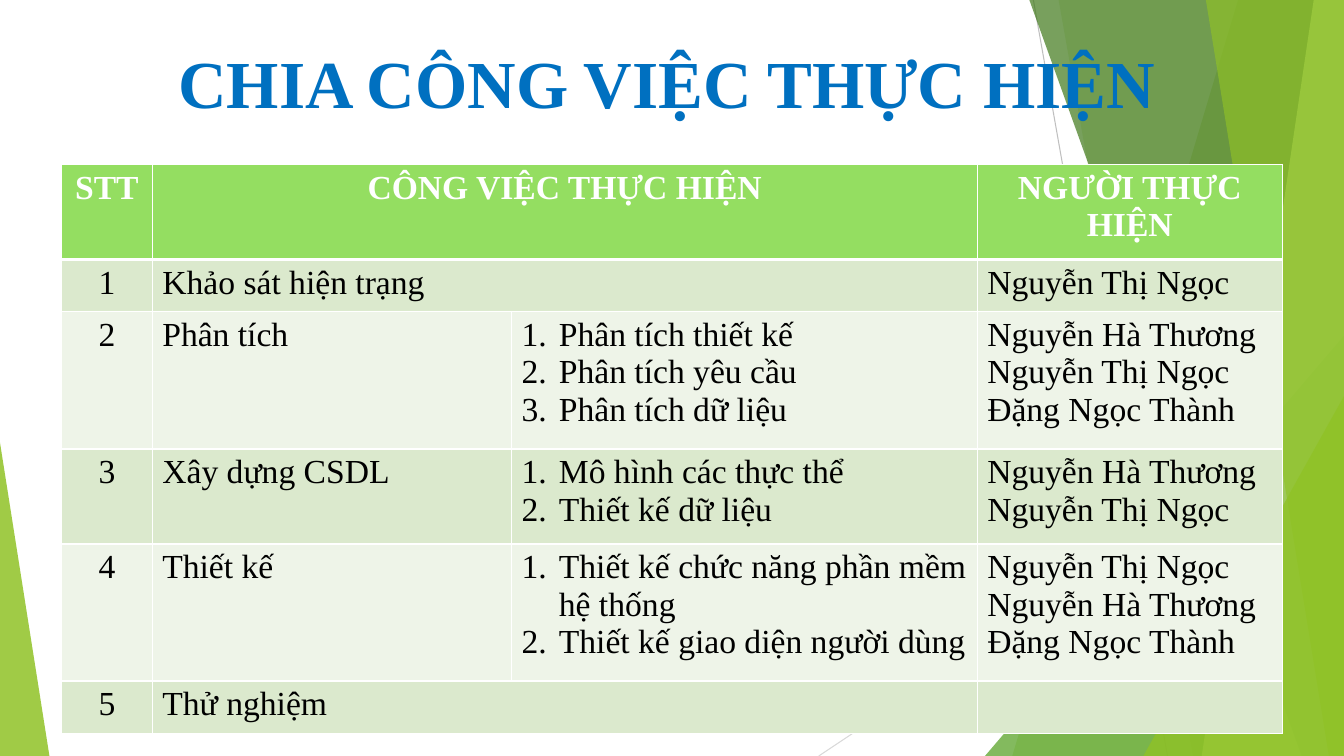
from pptx import Presentation
from pptx.dml.color import RGBColor
from pptx.enum.shapes import MSO_CONNECTOR as Connector, MSO_SHAPE as Shape
from pptx.enum.text import MSO_AUTO_SIZE as AutoSize, PP_ALIGN as Align
from pptx.oxml.ns import qn
from pptx.util import Inches, Pt
from lxml.etree import SubElement

WIDTH, HEIGHT = Inches(13.33), Inches(7.5)
FONT = "Times New Roman"
WHITE, BLACK, BLUE = "FFFFFF", "000000", "0070C0"
GREEN, LEAF, FOREST, LIME = "90C226", "54A021", "3F7819", "C0E474"
HEADER_FILL, ROW_FILLS = "94DE61", ("EEF4E8", "DBE9CD")

NGOC, THUONG, THANH = "Nguyễn Thị Ngọc", "Nguyễn Hà Thương", "Đặng Ngọc Thành"
HEADER = ("STT", "CÔNG VIỆC THỰC HIỆN", "NGƯỜI THỰC HIỆN")
TASKS = (
    ("Khảo sát hiện trạng", (), (NGOC,)),
    ("Phân tích",
     ("Phân tích thiết kế", "Phân tích yêu cầu", "Phân tích dữ liệu"),
     (THUONG, NGOC, THANH)),
    ("Xây dựng CSDL",
     ("Mô hình các thực thể", "Thiết kế dữ liệu"),
     (THUONG, NGOC)),
    ("Thiết kế",
     ("Thiết kế chức năng phần mềm hệ thống", "Thiết kế giao diện người dùng"),
     (NGOC, THUONG, THANH)),
    ("Thử nghiệm", (), ()),
)
COLUMN_WIDTHS = (6.75, 26.73, 34.65, 22.71)
ROW_HEIGHTS = (12.58, 6.95, 18.13, 12.58, 18.13, 6.95)


def across(percent):
    return round(WIDTH * percent / 100)


def down(percent):
    return round(HEIGHT * percent / 100)


def color(code):
    return RGBColor.from_string(code)


def paint(shape, code, opacity):
    shape.shadow.inherit = False
    shape.line.fill.background()
    shape.fill.solid()
    shape.fill.fore_color.rgb = color(code)
    tint = shape.element.spPr.find(qn("a:solidFill"))[0]
    SubElement(tint, qn("a:alpha"), val=str(opacity * 1000))


def add_line(page, start, end, code):
    line = page.shapes.add_connector(
        Connector.STRAIGHT, across(start[0]), down(start[1]), across(end[0]), down(end[1]))
    line.line.color.rgb = color(code)
    line.line.width = Pt(0.75)
    SubElement(line.element.spPr, qn("a:effectLst"))


def add_band(page, top_x, bottom_x, code, opacity):
    outline = page.shapes.build_freeform(across(top_x), 0)
    corners = ((100, 0), (100, 100), (bottom_x, 100))
    outline.add_line_segments([(across(x), down(y)) for x, y in corners], close=True)
    paint(outline.convert_to_shape(), code, opacity)


def add_corner(page, left, right, top, apex, code, opacity):
    corner = page.shapes.add_shape(
        Shape.ISOSCELES_TRIANGLE, across(left), down(top),
        across(right - left), down(100 - top))
    corner.adjustments[0] = apex
    paint(corner, code, opacity)


def write(para, text, size=24, code=BLACK, bold=False, align=Align.LEFT, numbered=False):
    para.alignment = align
    span = para.add_run()
    span.text = text
    span.font.name = FONT
    span.font.size = Pt(size)
    span.font.bold = bold
    span.font.color.rgb = color(code)
    if numbered:
        settings = para._p.get_or_add_pPr()
        indent = Inches(0.37)
        settings.set("marL", str(indent))
        settings.set("indent", str(-indent))
        SubElement(settings, qn("a:buFont"), typeface="+mj-lt")
        SubElement(settings, qn("a:buAutoNum"), type="arabicPeriod")


def add_title(page, text):
    box = page.shapes.add_textbox(across(12.53), down(4.8), across(74.94), down(12.13))
    box.text_frame.word_wrap = False
    box.text_frame.auto_size = AutoSize.SHAPE_TO_FIT_TEXT
    write(box.text_frame.paragraphs[0], text, size=48, code=BLUE, bold=True)


def style_cell(cell, fill, top=1, bottom=1):
    settings = cell._tc.get_or_add_tcPr()
    for side, width in (("L", 1), ("R", 1), ("T", top), ("B", bottom)):
        border = SubElement(settings, qn(f"a:ln{side}"), w=str(Pt(width)))
        SubElement(SubElement(border, qn("a:solidFill")), qn("a:srgbClr"), val=WHITE)
    cell.fill.solid()
    cell.fill.fore_color.rgb = color(fill)


def fill_cell(cell, lines, **style):
    frame = cell.text_frame
    for index, line in enumerate(lines):
        para = frame.add_paragraph() if index else frame.paragraphs[0]
        write(para, line, **style)


def add_task_table(page):
    table = page.shapes.add_table(
        len(ROW_HEIGHTS), len(COLUMN_WIDTHS), across(4.58), down(21.73),
        across(sum(COLUMN_WIDTHS)), down(sum(ROW_HEIGHTS))).table
    for column, width in zip(table.columns, COLUMN_WIDTHS):
        column.width = across(width)
    for number, (row, height) in enumerate(zip(table.rows, ROW_HEIGHTS)):
        row.height = down(height)
        fill = ROW_FILLS[number % 2] if number else HEADER_FILL
        for cell in row.cells:
            style_cell(cell, fill, top=3 if number == 1 else 1, bottom=1 if number else 3)

    table.cell(0, 1).merge(table.cell(0, 2))
    for column, text in zip((0, 1, 3), HEADER):
        fill_cell(table.cell(0, column), [text], code=WHITE, bold=True, align=Align.CENTER)
    for number, (task, steps, people) in enumerate(TASKS, start=1):
        fill_cell(table.cell(number, 0), [str(number)], align=Align.CENTER)
        fill_cell(table.cell(number, 1), [task])
        fill_cell(table.cell(number, 3), people)
        if steps:
            fill_cell(table.cell(number, 2), steps, numbered=True)
        else:
            table.cell(number, 1).merge(table.cell(number, 2))


def add_backdrop(page):
    add_line(page, (76.89, 0), (86.87, 100), "BFBFBF")
    add_line(page, (100, 53.73), (60.92, 100), "D9D9D9")
    add_band(page, 92.12, 75.32, GREEN, 30)
    add_band(page, 78.77, 88.75, GREEN, 20)
    add_corner(page, 73.29, 100, 44.4, 1, LEAF, 72)
    add_band(page, 76.59, 96.85, FOREST, 70)
    add_band(page, 97.75, 89.42, LIME, 70)
    add_band(page, 89.72, 98.87, GREEN, 65)
    add_corner(page, 85.07, 100, 52.4, 1, GREEN, 80)
    add_corner(page, 0, 3.68, 58.53, 0, GREEN, 85)


def main():
    deck = Presentation()
    deck.slide_width, deck.slide_height = WIDTH, HEIGHT
    page = deck.slides.add_slide(deck.slide_layouts[6])
    add_backdrop(page)
    add_title(page, "CHIA CÔNG VIỆC THỰC HIỆN")
    add_task_table(page)
    deck.save("out.pptx")


main()
